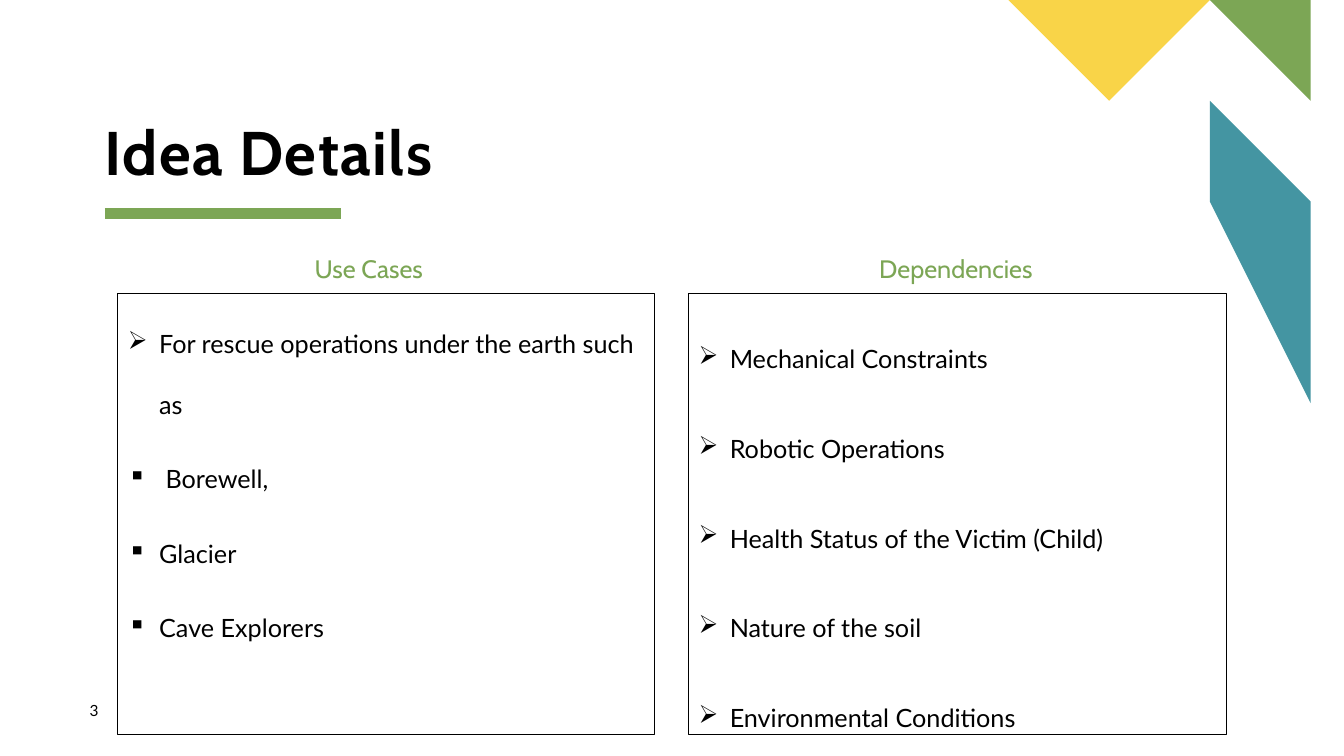
from lxml.etree import SubElement
from pptx import Presentation
from pptx.dml.color import RGBColor
from pptx.enum.shapes import MSO_CONNECTOR
from pptx.enum.text import MSO_ANCHOR, PP_ALIGN
from pptx.oxml.ns import qn
from pptx.util import Inches, Pt

BLACK = RGBColor(0x00, 0x00, 0x00)
GREEN = RGBColor(0x7C, 0xA6, 0x55)
TEAL = RGBColor(0x44, 0x95, 0xA2)
YELLOW = RGBColor(0xF9, 0xD4, 0x48)

WIDE = 13.33

deck = Presentation()
deck.slide_width = Inches(WIDE)
deck.slide_height = Inches(7.5)
slide = deck.slides.add_slide(deck.slide_layouts[6])


def add_text(area, lines, font, size, color, space=1.0, before=0, inset=True):
    """Add a wrapped text box with one paragraph per line."""
    box = slide.shapes.add_textbox(*[Inches(n) for n in area])
    frame = box.text_frame
    frame.word_wrap = True
    if not inset:
        frame.margin_left = frame.margin_right = 0
        frame.margin_top = frame.margin_bottom = 0
    frame.text = "\n".join(lines)
    for para in frame.paragraphs:
        para.line_spacing = space
        para.space_before = Pt(before)
        face = para.runs[0].font
        face.name = font
        face.size = Pt(size)
        face.color.rgb = color
    return box


# Corner shapes
corner = [
    (TEAL, [(WIDE, 3.64), (WIDE, 2.41), (12.12, 1.19), (11.5, 1.8)]),
    (GREEN, [(WIDE, 1.19), (WIDE, 0), (12.15, 0)]),
    (YELLOW, [(9.7, 0), (10.89, 1.19), (12.09, 0)]),
]
for color, points in corner:
    path = slide.shapes.build_freeform(*points[0], scale=Inches(1))
    path.add_line_segments(points[1:], close=True)
    shape = path.convert_to_shape()
    shape.shadow.inherit = False
    shape.fill.solid()
    shape.fill.fore_color.rgb = color
    shape.line.fill.background()

# Title and its rule
title = add_text((1.04, 1.2, 6.32, 0.67), ["Idea Details"], "Cabin", 44, BLACK,
                 space=0.9, inset=False)
title.text_frame.vertical_anchor = MSO_ANCHOR.BOTTOM
run = title.text_frame.paragraphs[0].runs[0]
run.font.bold = True
run.font._element.set("spc", "100")

rule = slide.shapes.add_connector(
    MSO_CONNECTOR.STRAIGHT, Inches(1.04), Inches(2.12), Inches(3.38), Inches(2.12))
rule.line.color.rgb = GREEN
rule.line.width = Pt(8)
SubElement(rule._element.spPr, qn("a:effectLst"))

# Two columns: heading and place, list and place, line spacing, bulleted lines
columns = [
    ("Use Cases ", 1.04, 5.29, 1.17, 5.32, 2.0, [
        ("➢", "For rescue operations under the earth such as"),
        ("▪", " Borewell,"),
        ("▪", "Glacier"),
        ("▪", "Cave Explorers"),
    ]),
    ("Dependencies", 6.67, 5.62, 6.83, 5.34, 2.5, [
        ("➢", "Mechanical Constraints"),
        ("➢", "Robotic Operations"),
        ("➢", "Health Status of the Victim (Child)"),
        ("➢", "Nature of the soil"),
        ("➢", "Environmental Conditions"),
    ]),
]
for name, head_x, head_w, list_x, list_w, space, items in columns:
    head = add_text((head_x, 2.5, head_w, 0.35), [name], "Cabin", 18, GREEN,
                    space=0.9, before=10)
    head.text_frame.paragraphs[0].alignment = PP_ALIGN.CENTER

    box = add_text((list_x, 2.91, list_w, 4.38), [text for _, text in items],
                   "Lato", 18, BLACK, space=space, before=10)
    box.line.color.rgb = BLACK
    box.line.width = Pt(0.75)
    for para, (mark, _) in zip(box.text_frame.paragraphs, items):
        props = para._p.get_or_add_pPr()
        props.set("marL", str(Inches(0.31)))
        props.set("indent", str(-Inches(0.31)))
        SubElement(props, qn("a:buChar"), char=mark)

# Page number
add_text((0.89, 6.96, 0.57, 0.27), ["3"], "Lato", 11, BLACK, inset=False)

deck.save("out.pptx")
